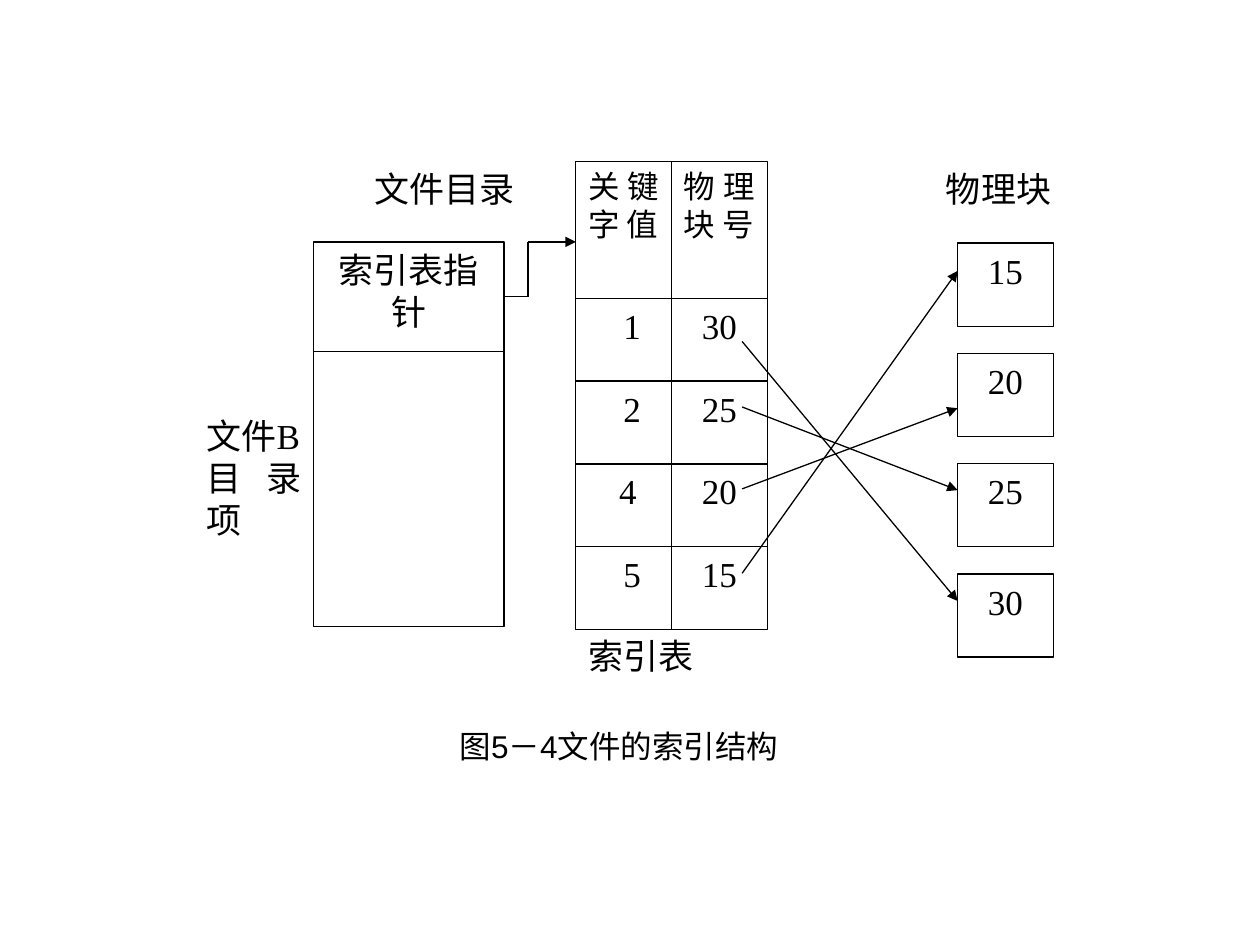
from lxml.etree import SubElement
from pptx import Presentation
from pptx.dml.color import RGBColor
from pptx.enum.shapes import MSO_CONNECTOR as CONN, MSO_SHAPE as SHAPE
from pptx.enum.text import MSO_ANCHOR as ANCHOR, MSO_AUTO_SIZE as FIT, PP_ALIGN as AL
from pptx.oxml.ns import qn
from pptx.util import Inches, Pt

BLACK = "000000"
SERIF, SANS = "Times New Roman", "Arial"

# Grid, in inches
TOP = 1.28                      # labels and index table header
DIR_X, DIR_W = 2.49, 1.51       # file directory
DIR_Y, POINTER_H, ENTRY_H = 1.92, 0.87, 2.18
INDEX_X, CELL_W, CELL_H = 4.57, 0.76, 0.66
HEADER_H, ROW_STEP = 1.09, 0.655
BLOCK_X, BLOCK_Y, BLOCK_STEP = 7.6, 1.93, 0.875

HEADERS = ["关键字 值", "物理块 号"]
INDEX_ROWS = [("　1", "30"), ("　2", "25"), (" 4", "20"), ("　5", "15")]
BLOCKS = ["15", "20", "25", "30"]
# Height at the index row, height at the physical block
LINKS = [(2.71, 4.77), (3.23, 3.89), (3.88, 3.24), (4.55, 2.15)]


def color(value):
    return RGBColor.from_string(value)


def write(sp, lines, size=20, align=AL.JUSTIFY, font=SERIF, anchor=ANCHOR.TOP):
    tf = sp.text_frame
    tf.word_wrap = True
    tf.vertical_anchor = anchor
    for i, line in enumerate(lines):
        p = tf.add_paragraph() if i else tf.paragraphs[0]
        p.alignment = align
        r = p.add_run()
        r.text = line
        r.font.size = Pt(size)
        r.font.name = font
        r.font.color.rgb = color(BLACK)


def label(s, x, y, w, h, *lines, **style):
    sp = s.shapes.add_textbox(Inches(x), Inches(y), Inches(w), Inches(h))
    write(sp, lines, **style)
    return sp


def box(s, x, y, w, h, text="", **style):
    sp = s.shapes.add_shape(SHAPE.RECTANGLE, Inches(x), Inches(y), Inches(w), Inches(h))
    sp.shadow.inherit = False
    sp.fill.background()
    sp.line.color.rgb = color(BLACK)
    sp.line.width = Pt(0.75)
    if text:
        write(sp, [text], **style)
    return sp


def line(s, start, end, arrow=False):
    cx = s.shapes.add_connector(CONN.STRAIGHT, *map(Inches, start + end))
    cx.line.color.rgb = color(BLACK)
    cx.line.width = Pt(0.75)
    if arrow:
        SubElement(cx.line._get_or_add_ln(), qn("a:tailEnd"), type="triangle")
    SubElement(cx._element.spPr, qn("a:effectLst"))
    return cx


def directory(s):
    label(s, 1.54, 3.24, 0.95, 1.09, "文件B", "目录项")
    label(s, 2.87, TOP, DIR_W, 0.65, "文件目录")
    pointer = box(s, DIR_X, DIR_Y, DIR_W, POINTER_H, "索引表指针", align=AL.CENTER)
    box(s, DIR_X, DIR_Y + POINTER_H, DIR_W, ENTRY_H)
    return pointer


def index_table(s):
    label(s, INDEX_X, 4.99, DIR_W, 0.65, "索引表")
    for col, text in enumerate(HEADERS):
        box(s, INDEX_X + col * CELL_W, TOP, CELL_W, HEADER_H, text, size=18)
    for row, cells in enumerate(INDEX_ROWS):
        y = TOP + HEADER_H + row * ROW_STEP
        for col, text in enumerate(cells):
            align = AL.JUSTIFY if text.startswith("　") else AL.CENTER
            box(s, INDEX_X + col * CELL_W, y, CELL_W, CELL_H, text, align=align)


def physical_blocks(s):
    label(s, 7.41, TOP, 1.14, 0.65, "物理块")
    for i, text in enumerate(BLOCKS):
        box(s, BLOCK_X, BLOCK_Y + i * BLOCK_STEP, CELL_W, CELL_H, text, align=AL.CENTER)


def links(s, pointer):
    # Index rows to physical blocks
    for y1, y2 in LINKS:
        line(s, (5.89, y1), (BLOCK_X, y2), arrow=True)
    # Stepped arrow from the pointer to the index table
    bend_x, mid_y = 4.19, DIR_Y + POINTER_H / 2
    line(s, (DIR_X + DIR_W, mid_y), (bend_x, mid_y)).begin_connect(pointer, 3)
    line(s, (bend_x, mid_y), (bend_x, DIR_Y))
    line(s, (bend_x, DIR_Y), (INDEX_X, DIR_Y), arrow=True)


def caption(s):
    sp = label(s, 3.55, 5.72, 3.02, 0.4, "图5－4文件的索引结构",
               size=18, align=AL.LEFT, font=SANS, anchor=ANCHOR.MIDDLE)
    sp.text_frame.word_wrap = False
    sp.text_frame.auto_size = FIT.SHAPE_TO_FIT_TEXT


def main():
    prs = Presentation()
    prs.slide_width, prs.slide_height = Inches(10), Inches(7.5)
    s = prs.slides.add_slide(prs.slide_layouts[6])
    pointer = directory(s)
    index_table(s)
    physical_blocks(s)
    links(s, pointer)
    caption(s)
    prs.save("out.pptx")


if __name__ == "__main__":
    main()
